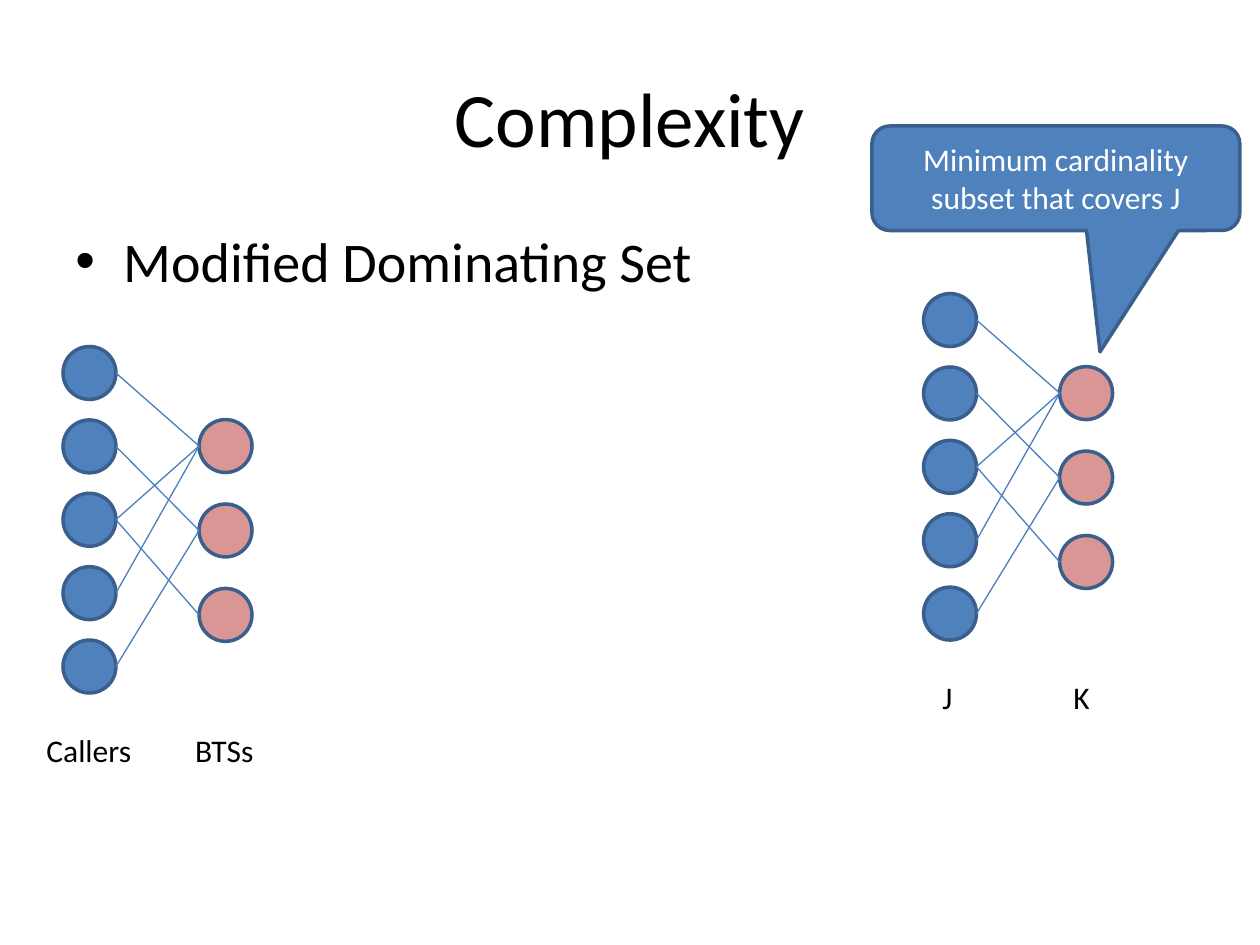
"""Build the Complexity slide with two bipartite graphs and a callout."""
from dataclasses import dataclass

from lxml import etree
from pptx import Presentation
from pptx.dml.color import RGBColor
from pptx.enum.shapes import MSO_CONNECTOR, MSO_SHAPE
from pptx.enum.text import MSO_ANCHOR, MSO_AUTO_SIZE, PP_ALIGN
from pptx.oxml.ns import qn
from pptx.util import Inches, Pt

OVAL = MSO_SHAPE.OVAL
CALLOUT = MSO_SHAPE.ROUNDED_RECTANGULAR_CALLOUT
STRAIGHT = MSO_CONNECTOR.STRAIGHT
MIDDLE = MSO_ANCHOR.MIDDLE
CENTER = PP_ALIGN.CENTER
LEFT = PP_ALIGN.LEFT
FIT_SHAPE = MSO_AUTO_SIZE.SHAPE_TO_FIT_TEXT


@dataclass(frozen=True)
class Theme:
    font: str = "Calibri"
    text: RGBColor = RGBColor.from_string("000000")
    light_text: RGBColor = RGBColor.from_string("FFFFFF")
    blue: RGBColor = RGBColor.from_string("4F81BD")
    pink: RGBColor = RGBColor.from_string("D99694")
    outline: RGBColor = RGBColor.from_string("3A5F8C")
    edge: RGBColor = RGBColor.from_string("4B7EBC")
    title_size: Pt = Pt(44)
    body_size: Pt = Pt(32)
    label_size: Pt = Pt(18)
    outline_width: Pt = Pt(2)
    edge_width: Pt = Pt(0.75)


theme = Theme()
presentation = Presentation()
presentation.slide_width = Inches(10)
presentation.slide_height = Inches(7.5)
slide = presentation.slides.add_slide(presentation.slide_layouts[6])


def write(shape, text, size, color=theme.text, alignment=LEFT):
    shape.text_frame.word_wrap = True
    paragraph = shape.text_frame.paragraphs[0]
    paragraph.text = text
    paragraph.alignment = alignment
    paragraph.font.name = theme.font
    paragraph.font.size = size
    paragraph.font.color.rgb = color
    return paragraph


def add_outlined(kind, left, top, width, height, fill):
    shape = slide.shapes.add_shape(kind, Inches(left), Inches(top), Inches(width), Inches(height))
    shape.shadow.inherit = False
    shape.fill.solid()
    shape.fill.fore_color.rgb = fill
    shape.line.color.rgb = theme.outline
    shape.line.width = theme.outline_width
    return shape


title = slide.shapes.add_textbox(Inches(0.5), Inches(0.3), Inches(9), Inches(1.25))
title.text_frame.vertical_anchor = MIDDLE
write(title, "Complexity", theme.title_size, alignment=CENTER)

body = slide.shapes.add_textbox(Inches(0.5), Inches(1.75), Inches(9), Inches(4.95))
bullet = write(body, "Modified Dominating Set", theme.body_size)
bullet.space_before = Pt(6.4)
properties = bullet._p.get_or_add_pPr()
properties.set("marL", str(Inches(0.38)))
properties.set("indent", str(-Inches(0.38)))
bullet_font = etree.Element(qn("a:buFont"), typeface="Arial")
bullet_character = etree.Element(qn("a:buChar"), char="•")
properties.find(qn("a:spcBef")).addnext(bullet_font)
bullet_font.addnext(bullet_character)

DIAMETER = 0.42
CALLER_STEP = 2.33 / 4
STATION_STEP = 0.67
STATION_LEFT = 1.08
STATION_TOP = 0.58
LABEL_TOP = 3
EDGES = [(0, 0), (1, 1), (2, 0), (2, 2), (3, 0), (4, 1)]
GRAPHS = [
    (0.5, 2.75, [("Callers", 0.27, 0.88), ("BTSs", 1.45, 0.67)]),
    (7.33, 2.33, [("J", 7.38, 0.28), ("K", 8.42, 0.33)]),
]

for graph_left, graph_top, labels in GRAPHS:
    callers = [
        add_outlined(OVAL, graph_left, graph_top + row * CALLER_STEP, DIAMETER, DIAMETER, theme.blue)
        for row in range(5)
    ]
    stations = [
        add_outlined(OVAL, graph_left + STATION_LEFT, graph_top + STATION_TOP + row * STATION_STEP,
                     DIAMETER, DIAMETER, theme.pink)
        for row in range(3)
    ]
    for caller_index, station_index in EDGES:
        caller, station = callers[caller_index], stations[station_index]
        edge = slide.shapes.add_connector(
            STRAIGHT,
            caller.left + caller.width, caller.top + caller.height // 2,
            station.left, station.top + station.height // 2,
        )
        edge.line.color.rgb = theme.edge
        edge.line.width = theme.edge_width
        etree.SubElement(edge._element.spPr, qn("a:effectLst"))
    for text, left, width in labels:
        label = slide.shapes.add_textbox(Inches(left), Inches(graph_top + LABEL_TOP), Inches(width), Inches(0.4))
        write(label, text, theme.label_size)
        label.text_frame.word_wrap = False
        label.text_frame.auto_size = FIT_SHAPE

callout = add_outlined(CALLOUT, 6.92, 1, 2.92, 0.83, theme.blue)
for index, adjustment in enumerate([0.12, 1.66, 0.17]):
    callout.adjustments[index] = adjustment
callout.text_frame.vertical_anchor = MIDDLE
write(callout, "Minimum cardinality subset that covers J", theme.label_size, theme.light_text, CENTER)

presentation.save("out.pptx")
